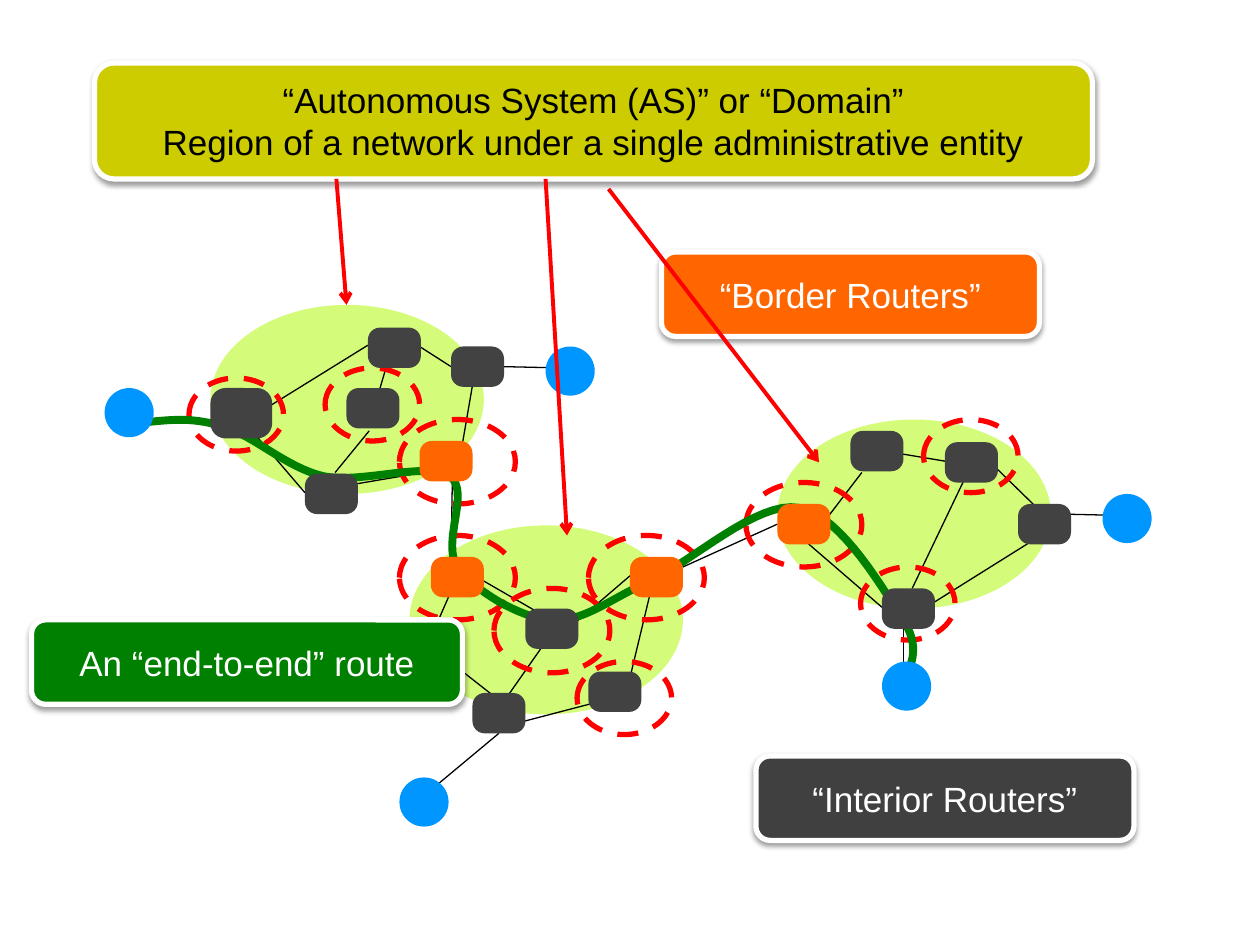
from typing import NamedTuple

from lxml import etree
from pptx import Presentation
from pptx.dml.color import RGBColor
from pptx.enum.dml import MSO_LINE
from pptx.enum.shapes import MSO_CONNECTOR, MSO_SHAPE
from pptx.enum.text import MSO_ANCHOR, PP_ALIGN
from pptx.oxml.ns import qn
from pptx.util import Inches, Pt

OVAL, ROUND = MSO_SHAPE.OVAL, MSO_SHAPE.ROUNDED_RECTANGLE
STRAIGHT, DASH = MSO_CONNECTOR.STRAIGHT, MSO_LINE.DASH
CENTER, MIDDLE = PP_ALIGN.CENTER, MSO_ANCHOR.MIDDLE

COLORS = {
    "domain": "D4FB79", "host": "0096FF", "router": "424242",
    "border": "FF6600", "inner": "404040", "olive": "CCCC00",
    "route": "008000", "red": "FF0000", "black": "000000", "white": "FFFFFF",
}


class Box(NamedTuple):
    left: float
    top: float
    width: float
    height: float


class Label(NamedTuple):
    box: Box
    fill: str
    ink: str
    lines: tuple[str, ...]


class Link(NamedTuple):
    x1: float
    y1: float
    x2: float
    y2: float


class Router(NamedTuple):
    left: float
    top: float
    fill: str = "router"
    width: float = 0.42
    height: float = 0.32


DOMAINS = [(3.25, 4.17), (6.17, 3.33), (1.67, 2.42)]
HOSTS = [(0.83, 3.08), (3.17, 6.17), (4.33, 2.75), (7, 5.25), (8.75, 3.92)]
LINKS = [
    # Hosts
    Link(1.17, 3.32, 1.6, 3.32), Link(4, 2.91, 4.43, 2.92),
    Link(8.42, 4.08, 8.85, 4.09), Link(3.42, 6.27, 3.96, 5.82),
    # Left domain
    Link(2.08, 3.26, 2.92, 2.74), Link(3.76, 3, 3.66, 3.58),
    Link(2, 3.42, 2.42, 3.91), Link(2.93, 3.42, 2.66, 3.75),
    Link(2.83, 3.84, 3.42, 3.74), Link(3.58, 2.91, 3.33, 2.75),
    Link(3.09, 2.83, 2.99, 3.17), Link(3.59, 3.83, 3.58, 4.4),
    # Middle domain
    Link(4.34, 4.9, 3.75, 4.56), Link(3.41, 5.08, 3.59, 4.67),
    Link(3.57, 5.25, 3.99, 5.58), Link(5.17, 4.67, 4.99, 5.42),
    Link(5, 4.57, 4.58, 4.93), Link(4.1, 5.74, 4.75, 5.57),
    Link(3.99, 5.58, 4.34, 5.08), Link(6.17, 4.16, 5.42, 4.5),
    # Right domain
    Link(6.34, 4.25, 7, 4.82), Link(8.26, 4.25, 7.35, 4.82),
    Link(7.5, 3.66, 7.08, 3.59), Link(6.84, 3.75, 6.58, 4.09),
    Link(8.26, 4.06, 7.85, 3.66), Link(7.24, 4.67, 7.68, 3.75),
    Link(7.17, 5.33, 7.17, 4.98),
]
ARROWS = [Link(2.67, 1.42, 2.75, 2.42), Link(4.33, 1.42, 4.5, 4.25),
          Link(4.83, 1.5, 6.5, 3.67)]
BIG, SMALL = (0.92, 0.67), (0.75, 0.58)
BORDER_RINGS = [Box(x, y, *BIG) for x, y in
                [(4.67, 4.25), (5.92, 3.83), (3.17, 3.33), (3.17, 4.25)]]
INNER_RINGS = [Box(1.5, 3, *SMALL), Box(3.92, 4.67, *BIG)] + [
    Box(x, y, *SMALL) for x, y in
    [(2.58, 2.92), (4.58, 5.25), (7.33, 3.33), (6.83, 4.5)]]
ROUTERS = [
    Router(1.67, 3.08, width=0.49, height=0.4), Router(2.42, 3.76),
    Router(2.92, 2.6), Router(2.75, 3.08), Router(3.58, 2.75),
    Router(6.17, 4, "border"), Router(3.33, 3.5, "border"),
    Router(3.42, 4.42, "border"), Router(5, 4.42, "border"),
    Router(3.75, 5.5), Router(4.17, 4.83), Router(4.67, 5.33),
    Router(7.5, 3.51), Router(6.75, 3.42), Router(7, 4.67), Router(8.08, 4),
]
# A start point, then two handles and an end point for each curve
ROUTE = [
    (1.17, 3.35), (1.36, 3.33), (1.55, 3.31), (1.78, 3.39),
    (2.02, 3.46), (2.27, 3.71), (2.57, 3.78),
    (2.87, 3.84), (3.39, 3.66), (3.57, 3.78),
    (3.74, 3.9), (3.5, 4.3), (3.63, 4.5),
    (3.77, 4.69), (4.12, 4.9), (4.37, 4.92),
    (4.63, 4.94), (4.83, 4.76), (5.16, 4.61),
    (5.49, 4.46), (6.01, 3.97), (6.34, 4.03),
    (6.68, 4.08), (7.04, 4.73), (7.18, 4.94),
    (7.32, 5.16), (7.2, 5.33), (7.2, 5.33),
]
BACK_LABELS = [
    Label(Box(6, 6, 3, 0.67), "inner", "white", ("“Interior Routers”",)),
    Label(Box(0.75, 0.5, 7.92, 0.92), "olive", "black",
          ("“Autonomous System (AS)” or “Domain”",
           "Region of a network under a single administrative entity")),
]
FRONT_LABELS = [
    Label(Box(5.25, 2, 3, 0.67), "border", "white", ("“Border Routers”",)),
    Label(Box(0.25, 4.92, 3.42, 0.67), "route", "white",
          ("An “end-to-end” route",)),
]


def shade(name: str) -> RGBColor:
    return RGBColor.from_string(COLORS[name])


def add_shape(shapes, kind, box: Box, fill: str | None = None):
    shape = shapes.add_shape(kind, *map(Inches, box))
    shape.shadow.inherit = False
    if fill:
        shape.fill.solid()
        shape.fill.fore_color.rgb = shade(fill)
    else:
        shape.fill.background()
    shape.line.fill.background()
    return shape


def set_line(shape, color: str, width: float) -> None:
    shape.line.color.rgb = shade(color)
    shape.line.width = Pt(width)


def add_ring(shapes, box: Box) -> None:
    ring = add_shape(shapes, OVAL, box)
    set_line(ring, "red", 3)
    ring.line.dash_style = DASH


def add_link(shapes, link: Link, color: str, width: float, head=False) -> None:
    line = shapes.add_connector(STRAIGHT, *map(Inches, link))
    set_line(line, color, width)
    props = line._element.spPr
    if head:
        etree.SubElement(props.find(qn("a:ln")), qn("a:tailEnd"), type="arrow")
    etree.SubElement(props, qn("a:effectLst"))


def add_label(shapes, label: Label) -> None:
    shape = add_shape(shapes, ROUND, label.box, label.fill)
    set_line(shape, "white", 3)
    effects = shape._element.spPr.find(qn("a:effectLst"))
    cast = etree.SubElement(effects, qn("a:outerShdw"), blurRad=str(Pt(3.1)),
                            dist=str(Pt(1.6)), dir="5400000", rotWithShape="0")
    tint = etree.SubElement(cast, qn("a:srgbClr"), val=COLORS["black"])
    etree.SubElement(tint, qn("a:alpha"), val="38000")
    frame = shape.text_frame
    frame.word_wrap = False
    frame.vertical_anchor = MIDDLE
    para = frame.paragraphs[0]
    para.alignment = CENTER
    for row, text in enumerate(label.lines):
        if row:
            para.add_line_break()
        run = para.add_run()
        run.text = text
        run.font.name = "Arial"
        run.font.size = Pt(20)
        run.font.color.rgb = shade(label.ink)


def add_route(shapes, steps: int = 16) -> None:
    """Draw the cubic curves of the route as one smooth open line."""
    points = []
    for i in range(0, len(ROUTE) - 1, 3):
        for step in range(1, steps + 1):
            t = step / steps
            parts = ((1 - t) ** 3, 3 * t * (1 - t) ** 2,
                     3 * t * t * (1 - t), t ** 3)
            points.append(tuple(
                Inches(sum(w * p[axis] for w, p in zip(parts, ROUTE[i:i + 4])))
                for axis in (0, 1)))
    path = shapes.build_freeform(*map(Inches, ROUTE[0]))
    path.add_line_segments(points, close=False)
    route = path.convert_to_shape()
    route.shadow.inherit = False
    route.fill.background()
    set_line(route, "route", 4.5)


def main() -> None:
    deck = Presentation()
    deck.slide_width, deck.slide_height = Inches(10), Inches(7.5)
    shapes = deck.slides.add_slide(deck.slide_layouts[6]).shapes
    for spot in DOMAINS:
        add_shape(shapes, OVAL, Box(*spot, 2.17, 1.5), "domain")
    for link in LINKS:
        add_link(shapes, link, "black", 0.75)
    for label in BACK_LABELS:
        add_label(shapes, label)
    for box in BORDER_RINGS:
        add_ring(shapes, box)
    rings = shapes.add_group_shape().shapes
    for box in INNER_RINGS:
        add_ring(rings, box)
    add_route(shapes)
    for spot in HOSTS:
        add_shape(shapes, OVAL, Box(*spot, 0.39, 0.39), "host")
    for node in ROUTERS:
        box = Box(node.left, node.top, node.width, node.height)
        add_shape(shapes, ROUND, box, node.fill).adjustments[0] = 0.3
    for label in FRONT_LABELS:
        add_label(shapes, label)
    arrows = shapes.add_group_shape().shapes
    for link in ARROWS:
        add_link(arrows, link, "red", 2.25, head=True)
    deck.save("out.pptx")


if __name__ == "__main__":
    main()
